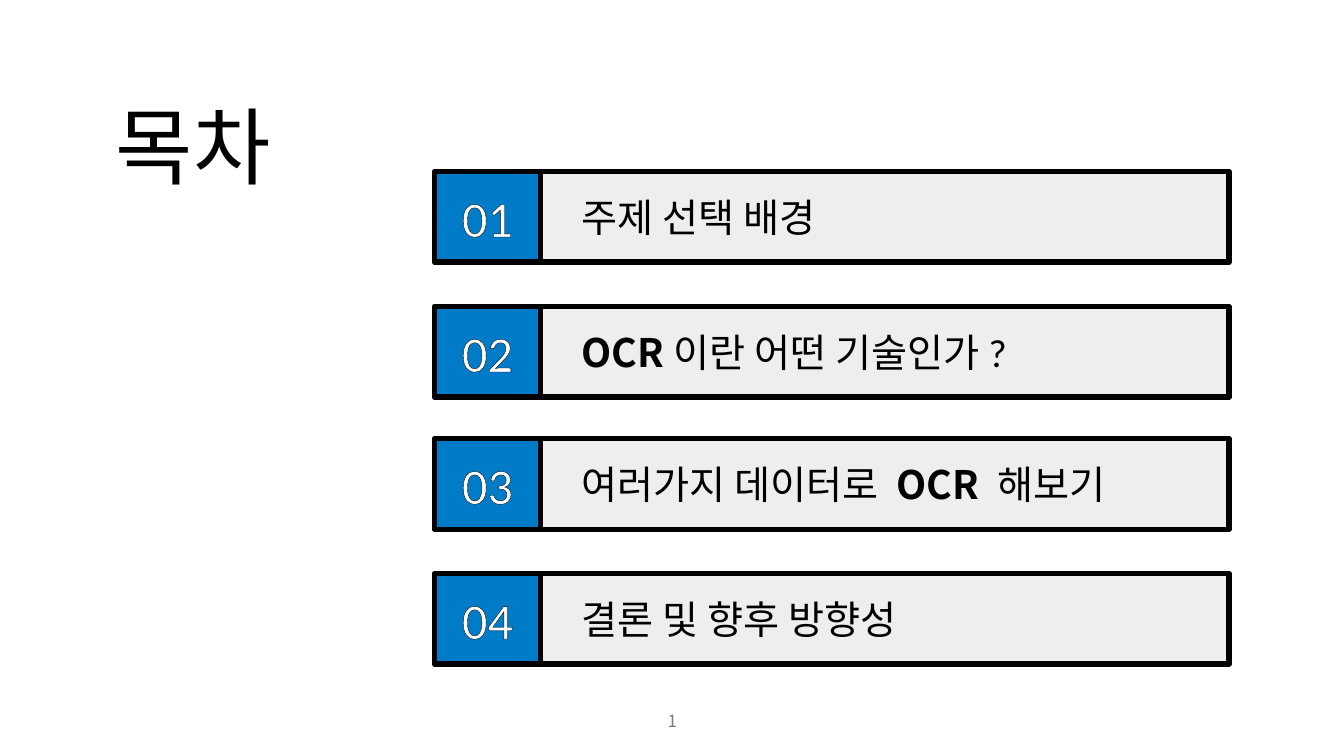
from lxml.etree import SubElement
from pptx import Presentation
from pptx.dml.color import RGBColor
from pptx.enum.shapes import MSO_SHAPE
from pptx.enum.text import MSO_ANCHOR, MSO_AUTO_SIZE, PP_ALIGN
from pptx.oxml import parse_xml
from pptx.oxml.ns import nsdecls, qn
from pptx.util import Cm, Pt

TITLE = "목차"
# Top edge in cm, then the runs of the entry as (text, bold)
ENTRIES = [
    (4.32, [("주제 선택 배경", False)]),
    (7.72, [("OCR", True), ("이란 어떤 기술인가?", False)]),
    (11.05, [("여러가지 데이터로 ", False), ("OCR ", True), ("해보기", False)]),
    (14.45, [("결론 및 향후 방향성", False)]),
]
TEXT_FONT, BOLD_FONT = "Calibri", "Noto Sans CJK KR"
BLACK, WHITE, BLUE, PALE, GREY = "000000", "FFFFFF", "007BC8", "EEEEEE", "797979"
NUMBER_LEFT, NUMBER_WIDTH, ENTRY_WIDTH, ROW_HEIGHT = 10.95, 2.67, 17.35, 2.29


def color(hex_string):
    return RGBColor.from_string(hex_string)


def set_font(font, name, size, hex_string):
    font.name = name
    font.size = Pt(size)
    font.color.rgb = color(hex_string)


def place(shape, left, top, width, height):
    shape.left, shape.top = Cm(left), Cm(top)
    shape.width, shape.height = Cm(width), Cm(height)


def add_box(group, left, top, width, fill):
    box = group.shapes.add_shape(
        MSO_SHAPE.RECTANGLE, Cm(left), Cm(top), Cm(width), Cm(ROW_HEIGHT))
    box.shadow.inherit = False
    box.fill.solid()
    box.fill.fore_color.rgb = color(fill)
    box.line.color.rgb = color(BLACK)
    box.line.width = Pt(4)
    box.text_frame.vertical_anchor = MSO_ANCHOR.MIDDLE
    return box


def outline_run(run):
    run.font._element.insert(0, parse_xml(
        f'<a:ln {nsdecls("a")} w="{Pt(1.5)}"><a:solidFill>'
        f'<a:srgbClr val="{BLACK}"/></a:solidFill></a:ln>'))


def add_entry(slide, number, top, runs):
    group = slide.shapes.add_group_shape()
    entry = add_box(group, NUMBER_LEFT + NUMBER_WIDTH, top, ENTRY_WIDTH, PALE)
    entry.text_frame.margin_left = Cm(1.04)
    paragraph = entry.text_frame.paragraphs[0]
    paragraph.alignment = PP_ALIGN.LEFT
    for text, bold in runs:
        run = paragraph.add_run()
        run.text = text
        set_font(run.font, BOLD_FONT if bold else TEXT_FONT, 28, BLACK)
        run.font.bold = bold

    badge = add_box(group, NUMBER_LEFT, top, NUMBER_WIDTH, BLUE)
    paragraph = badge.text_frame.paragraphs[0]
    paragraph.alignment = PP_ALIGN.CENTER
    run = paragraph.add_run()
    run.text = f"{number:02d}"
    set_font(run.font, TEXT_FONT, 36, WHITE)
    outline_run(run)


def add_title(slide):
    title = slide.shapes.title
    place(title, 2.9, 2.46, 4.52, 2.36)
    frame = title.text_frame
    frame.auto_size = MSO_AUTO_SIZE.NONE
    frame.vertical_anchor = MSO_ANCHOR.MIDDLE
    frame.margin_left = frame.margin_right = 0
    frame.margin_top = frame.margin_bottom = Cm(0.38)
    paragraph = frame.paragraphs[0]
    paragraph.alignment = PP_ALIGN.LEFT
    paragraph.line_spacing = 1.0
    run = paragraph.add_run()
    run.text = TITLE
    set_font(run.font, TEXT_FONT, 60, BLACK)
    run.font._element.set("spc", "110")


def add_page_number(slide):
    box = slide.shapes.add_textbox(Cm(13.13), Cm(17.65), Cm(7.62), Cm(1.02))
    box.text_frame.word_wrap = True
    box.text_frame.vertical_anchor = MSO_ANCHOR.MIDDLE
    paragraph = box.text_frame.paragraphs[0]
    paragraph.alignment = PP_ALIGN.CENTER
    run = paragraph.add_run()
    run.text = "1"
    set_font(run.font, BOLD_FONT, 12, GREY)
    # Turn the formatted run into a live slide number
    field = SubElement(paragraph._p, qn("a:fld"), type="slidenum",
                       id="{B6F15528-21DE-4FAA-801E-634DDDAF4B2B}")
    field.extend(list(run._r))
    paragraph._p.remove(run._r)


def main():
    presentation = Presentation()
    presentation.slide_width, presentation.slide_height = Cm(33.87), Cm(19.05)
    slide = presentation.slides.add_slide(presentation.slide_layouts[5])
    add_title(slide)
    add_page_number(slide)
    for number, (top, runs) in enumerate(ENTRIES, start=1):
        add_entry(slide, number, top, runs)
    presentation.save("out.pptx")


if __name__ == "__main__":
    main()
